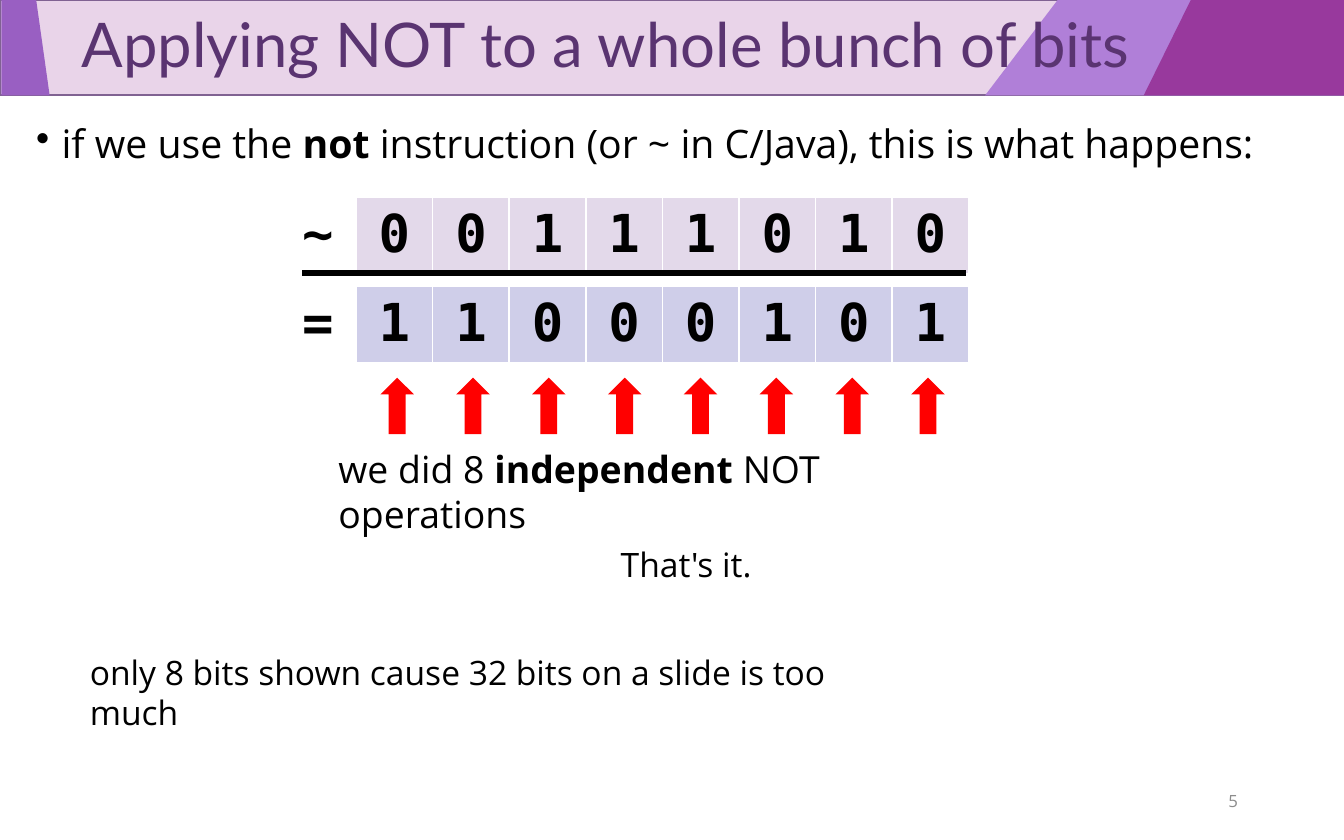
from dataclasses import dataclass

from lxml import etree
from pptx import Presentation
from pptx import util as u
from pptx.dml.color import RGBColor
from pptx.enum import shapes, text
from pptx.oxml import ns


@dataclass(frozen=True)
class Theme:
    wide: float = 10
    high: float = 6.25
    band: float = 0.71
    head: str = "Lato"
    body: str = "Open Sans"
    mono: str = "DejaVu Sans Mono"
    ink: str = "000000"
    plum: str = "5A3471"
    pale: str = "E9D4E9"
    edge: str = "806292"
    lilac: str = "B07FD8"
    violet: str = "995FC2"
    grape: str = "98399D"
    source: str = "E3D9EA"
    result: str = "CFCEE9"
    white: str = "FFFFFF"
    gray: str = "8C8C8C"
    red: str = "FF0000"
    title: float = 33
    lead: float = 21
    bit: float = 28
    note: float = 20
    small: float = 18
    page: float = 9


T = Theme()
LEFT, CELL, ROW = 2.08, 0.57, 0.54
BITS = "00111010"


def box(*sizes):
    return [u.Inches(size) for size in sizes]


def paint(shape, fill, edge=None):
    shape.shadow.inherit = False
    shape.fill.solid()
    shape.fill.fore_color.rgb = RGBColor.from_string(fill)
    if edge:
        shape.line.color.rgb = RGBColor.from_string(edge)
        shape.line.width = u.Pt(1)
    else:
        shape.line.fill.background()


def write(para, runs, size, font=T.body, color=T.ink, **form):
    for name, value in form.items():
        setattr(para, name, value)
    for words, bold in runs:
        run = para.add_run()
        run.text = words
        style = {"size": u.Pt(size), "name": font, "bold": bold}
        for name, value in style.items():
            setattr(run.font, name, value)
        run.font.color.rgb = RGBColor.from_string(color)


def label(slide, place, runs, size, anchor=text.MSO_ANCHOR.TOP, **form):
    frame = slide.shapes.add_textbox(*box(*place)).text_frame
    frame.word_wrap = True
    frame.vertical_anchor = anchor
    para = frame.paragraphs[0]
    write(para, runs, size, **form)
    return para


def bullet(para, indent):
    props = para._p.get_or_add_pPr()
    props.set("marL", str(u.Inches(indent)))
    props.set("indent", str(-u.Inches(indent)))
    etree.SubElement(props, ns.qn("a:buChar")).set("char", "•")


def banner(slide):
    bar = slide.shapes.add_shape(
        shapes.MSO_SHAPE.RECTANGLE, *box(0, 0, T.wide, T.band))
    paint(bar, T.pale, T.edge)
    slants = [
        (7.87, T.wide, T.wide, 7.33, T.lilac),
        (0.01, 0.27, 0.37, 0.01, T.violet),
        (8.86, T.wide, T.wide, 8.51, T.grape),
    ]
    for a, b, c, d, fill in slants:
        path = slide.shapes.build_freeform(*box(a, 0), scale=1)
        points = [(b, 0), (c, T.band), (d, T.band)]
        path.add_line_segments([box(*point) for point in points])
        paint(path.convert_to_shape(), fill)


def heading(slide, words):
    title = slide.shapes.title
    title.element.getparent().append(title.element)
    place = box(0.01, 0, T.wide, T.band)
    for name, value in zip(("left", "top", "width", "height"), place):
        setattr(title, name, value)
    frame = title.text_frame
    frame.auto_size = text.MSO_AUTO_SIZE.NONE
    frame.vertical_anchor = text.MSO_ANCHOR.MIDDLE
    para = frame.paragraphs[0]
    write(para, [(words, False)], T.title, T.head, T.plum,
          alignment=text.PP_ALIGN.LEFT, line_spacing=0.9)
    para._p.get_or_add_pPr().set("marL", str(u.Inches(0.5)))


def border(cell):
    props = cell._tc.get_or_add_tcPr()
    for index, side in enumerate(("lnL", "lnR", "lnT", "lnB")):
        line = etree.Element(ns.qn("a:" + side), w=str(u.Pt(1)))
        fill = etree.SubElement(line, ns.qn("a:solidFill"))
        etree.SubElement(fill, ns.qn("a:srgbClr"), val=T.white)
        props.insert(index, line)


def bits(slide, top, sign, digits, fill):
    count = len(digits) + 1
    place = box(LEFT, top, CELL * count, ROW)
    table = slide.shapes.add_table(1, count, *place).table
    table.first_row = table.horz_banding = False
    for index, digit in enumerate(sign + digits):
        table.columns[index].width = u.Inches(CELL)
        cell = table.cell(0, index)
        if index:
            cell.fill.solid()
            cell.fill.fore_color.rgb = RGBColor.from_string(fill)
        else:
            cell.fill.background()
        border(cell)
        write(cell.text_frame.paragraphs[0], [(digit, True)], T.bit, T.mono,
              alignment=text.PP_ALIGN.CENTER)


def rule(slide, start, end, y):
    line = slide.shapes.add_connector(
        shapes.MSO_CONNECTOR.STRAIGHT, *box(start, y, end, y))
    line.line.color.rgb = RGBColor.from_string(T.ink)
    line.line.width = u.Pt(3)
    etree.SubElement(line.element.spPr, ns.qn("a:effectLst"))


def arrows(slide, count):
    first, last = 2.83, 6.78
    step = (last - first) / (count - 1)
    for index in range(count):
        arrow = slide.shapes.add_shape(
            shapes.MSO_SHAPE.UP_ARROW,
            *box(first + index * step, 2.81, 0.25, 0.42))
        paint(arrow, T.red)


def main():
    deck = Presentation()
    deck.slide_width, deck.slide_height = box(T.wide, T.high)
    slide = deck.slides.add_slide(deck.slide_layouts[5])
    banner(slide)
    heading(slide, "Applying NOT to a whole bunch of bits")
    lead = label(
        slide, (0.17, 0.88, 9.83, 0.68),
        [("if we use the ", False), ("not", True),
         (" instruction (or ~ in C/Java), this is what happens:", False)],
        T.lead, line_spacing=0.9, space_before=u.Pt(7.5))
    bullet(lead, 0.19)
    label(slide, (7.06, 5.79, 2.25, 0.33), [("5", False)], T.page,
          text.MSO_ANCHOR.MIDDLE, color=T.gray,
          alignment=text.PP_ALIGN.RIGHT)
    flipped = "".join("1" if bit == "0" else "0" for bit in BITS)
    bits(slide, 1.47, "~", BITS, T.source)
    bits(slide, 2.13, "=", flipped, T.result)
    rule(slide, 2.25, 7.19, 2.03)
    arrows(slide, len(BITS))
    label(slide, (2.42, 3.27, 5.1, 0.44),
          [("we did 8 ", False), ("independent", True),
           (" NOT operations", False)], T.note)
    label(slide, (4.52, 4, 1.25, 0.4), [("That's it.", False)], T.small)
    label(slide, (0.57, 4.8, 6.15, 0.4),
          [("only 8 bits shown cause 32 bits on a slide is too much", False)],
          T.small)
    deck.save("out.pptx")


if __name__ == "__main__":
    main()
